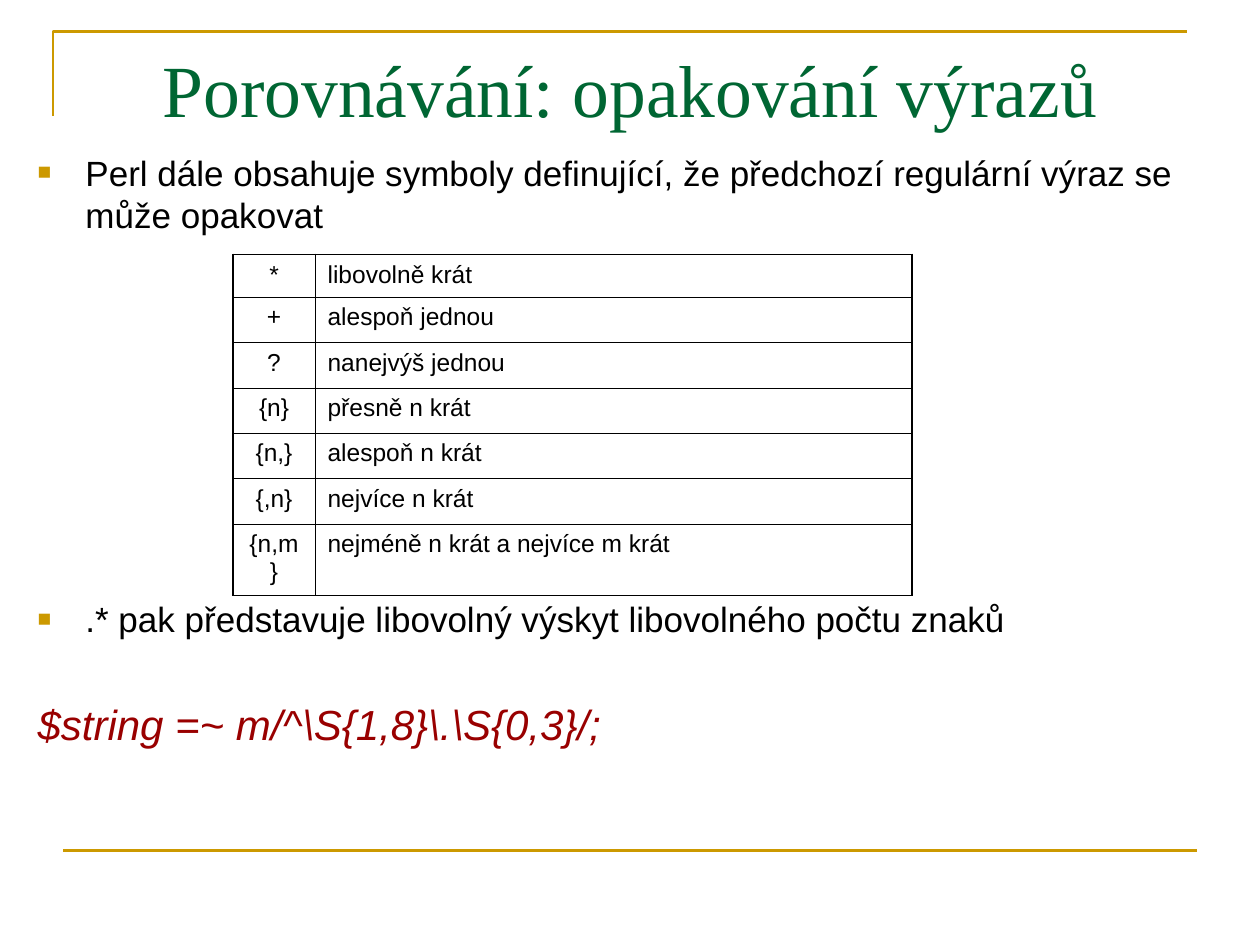
from dataclasses import dataclass

from lxml.etree import SubElement
from pptx import Presentation
from pptx.dml.color import RGBColor
from pptx.enum.shapes import MSO_CONNECTOR
from pptx.enum.text import PP_ALIGN
from pptx.oxml.ns import qn
from pptx.util import Inches, Pt

GOLD, GREEN, RED, BLACK = "CC9900", "006633", "990000", "000000"
THIN, THICK = 0.45, 1.08


@dataclass
class TextLine:
    text: str
    size: float
    color: str = BLACK
    font: str = "Arial"
    align: PP_ALIGN = PP_ALIGN.LEFT
    space_before: float = 0
    bullet: bool = False
    italic: bool = False


@dataclass
class Repetition:
    symbol: str
    meaning: str


TITLE = TextLine("Porovnávání: opakování výrazů", 42, GREEN, "Times New Roman", PP_ALIGN.CENTER)
BODY = [
    TextLine("Perl dále obsahuje symboly definující, že předchozí regulární výraz se může opakovat",
             20, space_before=5, bullet=True),
    TextLine(".* pak představuje libovolný výskyt libovolného počtu znaků",
             20, space_before=207, bullet=True),
    TextLine(r"$string =~ m/^\S{1,8}\.\S{0,3}/;", 24, RED, space_before=34, italic=True),
]
REPETITIONS = [
    Repetition("*", "libovolně krát"),
    Repetition("+", "alespoň jednou"),
    Repetition("?", "nanejvýš jednou"),
    Repetition("{n}", "přesně n krát"),
    Repetition("{n,}", "alespoň n krát"),
    Repetition("{,n}", "nejvíce n krát"),
    Repetition("{n,m}", "nejméně n krát a nejvíce m krát"),
]


def rgb(color: str) -> RGBColor:
    return RGBColor.from_string(color)


def add_solid_fill(parent, color: str) -> None:
    fill = SubElement(parent, qn("a:solidFill"))
    SubElement(fill, qn("a:srgbClr"), val=color)


def add_bullet(paragraph) -> None:
    properties = paragraph._p.get_or_add_pPr()
    properties.set("marL", str(Inches(0.38)))
    properties.set("indent", str(Inches(-0.38)))
    bullet_color = SubElement(properties, qn("a:buClr"))
    SubElement(bullet_color, qn("a:srgbClr"), val=GOLD)
    SubElement(properties, qn("a:buSzPct"), val="65000")
    SubElement(properties, qn("a:buFont"), typeface="Arial")
    SubElement(properties, qn("a:buChar"), char="■")


def write_line(paragraph, line: TextLine) -> None:
    paragraph.text = line.text
    paragraph.alignment = line.align
    paragraph.space_before = Pt(line.space_before)
    if line.bullet:
        add_bullet(paragraph)
    font = paragraph.font
    font.name, font.size, font.italic = line.font, Pt(line.size), line.italic
    font.color.rgb = rgb(line.color)


def add_text(slide, left: float, top: float, width: float, height: float,
             lines: list[TextLine]) -> None:
    frame = slide.shapes.add_textbox(
        Inches(left), Inches(top), Inches(width), Inches(height)).text_frame
    frame.word_wrap = True
    for index, line in enumerate(lines):
        write_line(frame.add_paragraph() if index else frame.paragraphs[0], line)


def style_gold_line(shape) -> None:
    shape.line.color.rgb = rgb(GOLD)
    shape.line.width = Pt(1.5)


def add_frame_lines(slide) -> None:
    builder = slide.shapes.build_freeform(Inches(0.42), Inches(0.92))
    builder.add_line_segments(
        [(Inches(0.42), Inches(0.25)), (Inches(9.42), Inches(0.25))], close=False)
    corner = builder.convert_to_shape()
    corner.fill.background()
    corner.shadow.inherit = False
    style_gold_line(corner)
    bottom = slide.shapes.add_connector(
        MSO_CONNECTOR.STRAIGHT, Inches(0.5), Inches(6.75), Inches(9.5), Inches(6.75))
    style_gold_line(bottom)
    SubElement(bottom._element.spPr, qn("a:effectLst"))


def set_borders(cell, widths: dict[str, float]) -> None:
    properties = cell._tc.get_or_add_tcPr()
    for side, width in widths.items():
        border = SubElement(properties, qn(f"a:ln{side}"), w=str(Pt(width)))
        add_solid_fill(border, BLACK)


def add_repetition_table(slide) -> None:
    last_row = len(REPETITIONS) - 1
    table = slide.shapes.add_table(
        len(REPETITIONS), 2, Inches(1.85), Inches(2.02), Inches(5.39), Inches(2.5)).table
    table.first_row = table.horz_banding = False
    for column, width in zip(table.columns, (0.65, 4.74)):
        column.width = Inches(width)
    for row_index, entry in enumerate(REPETITIONS):
        table.rows[row_index].height = Inches(0.36 if row_index else 0.34)
        columns = ((entry.symbol, PP_ALIGN.CENTER), (entry.meaning, PP_ALIGN.LEFT))
        for column_index, (text, align) in enumerate(columns):
            cell = table.cell(row_index, column_index)
            write_line(cell.text_frame.paragraphs[0],
                       TextLine(text, 14, align=align, space_before=3.5))
            # Thick outline, thin inner rules
            set_borders(cell, {
                "L": THIN if column_index else THICK,
                "R": THICK if column_index else THIN,
                "T": THIN if row_index else THICK,
                "B": THICK if row_index == last_row else THIN,
            })
            cell.fill.background()


def main() -> None:
    presentation = Presentation()
    presentation.slide_width, presentation.slide_height = Inches(10), Inches(7.5)
    slide = presentation.slides.add_slide(presentation.slide_layouts[6])

    # Decorative lines
    add_frame_lines(slide)

    # Title and body
    add_text(slide, 0.5, 0.3, 9, 0.85, [TITLE])
    add_text(slide, 0.2, 1.15, 9.8, 5.75, BODY)

    # Repetition symbols
    add_repetition_table(slide)

    presentation.save("out.pptx")


if __name__ == "__main__":
    main()
